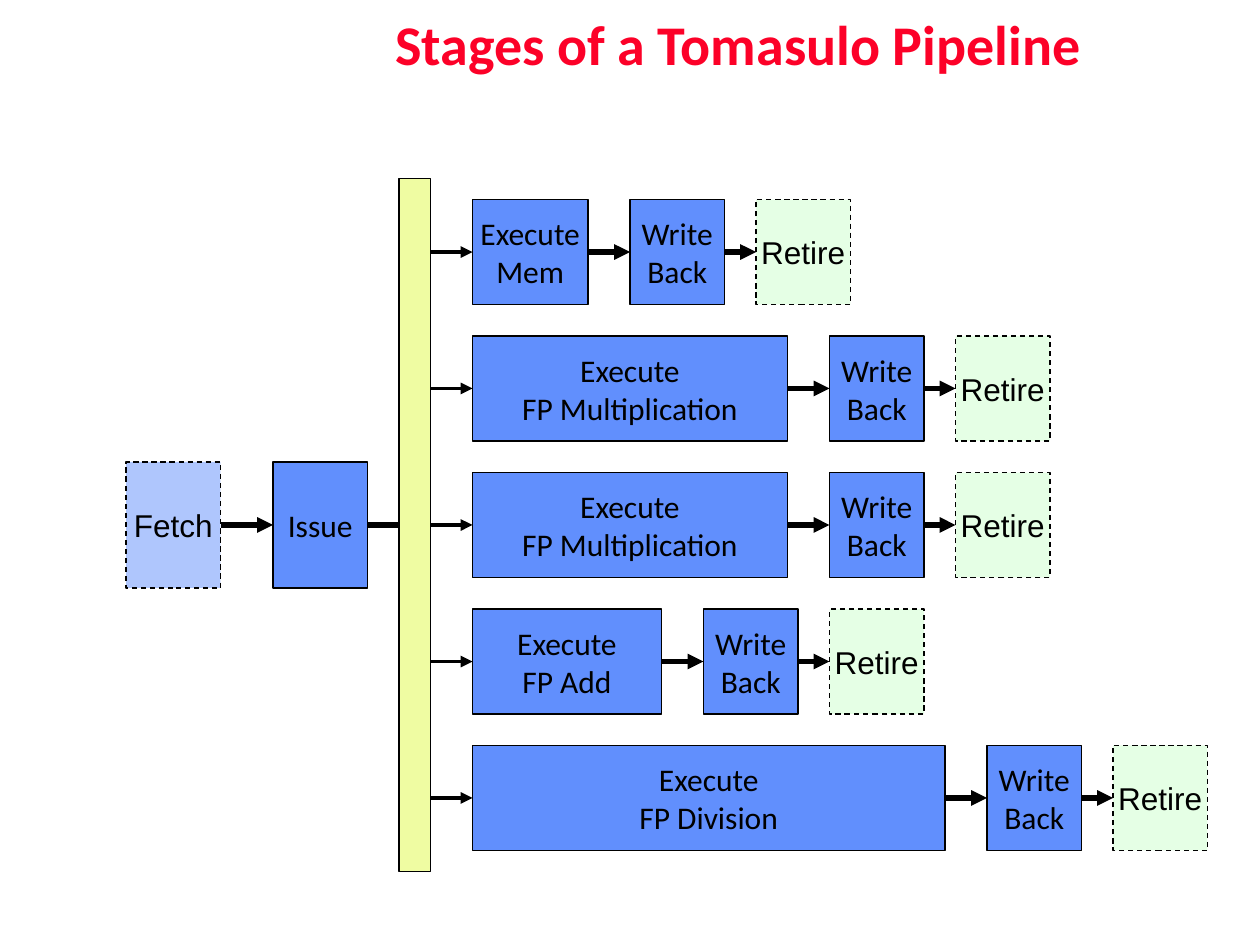
from dataclasses import dataclass

from lxml.etree import SubElement
from pptx import Presentation
from pptx.dml.color import RGBColor
from pptx.enum.dml import MSO_LINE
from pptx.enum.shapes import MSO_CONNECTOR, MSO_SHAPE
from pptx.enum.text import MSO_ANCHOR, PP_ALIGN
from pptx.oxml.ns import qn
from pptx.util import Inches, Pt


@dataclass(frozen=True)
class Theme:
    ink: str = "000000"
    title: str = "FC0128"
    stage: str = "618FFD"
    retire: str = "CCFFCC"
    bus: str = "EFFCA2"
    title_size: float = 32
    label_size: float = 18
    outline: float = 0.75
    bus_arrow: float = 2.25
    stage_arrow: float = 3
    stage_font: str = "Calibri"
    optional_font: str = "Arial"


@dataclass(frozen=True)
class Box:
    """A rectangle in grid columns and rows."""
    left: float
    top: float
    width: float
    height: float

    @property
    def right(self):
        return self.left + self.width

    @property
    def middle(self):
        return self.top + self.height / 2


THEME = Theme()
COLUMNS, ROWS = 120, 90
CELL = Inches(10) / COLUMNS
LEFT, RIGHT = 1, 3
STAGE_WIDTH = 9
EXECUTE_GAP, RETIRE_GAP = 4, 3
LANE_HEIGHT, LANE_STEP = 10, 13
FLOW = Box(12, 17, 103, 66)
LANES = [
    ("Mem", 11),
    ("FP Multiplication", 30),
    ("FP Multiplication", 30),
    ("FP Add", 18),
    ("FP Division", 45),
]


def grid(*cells):
    return [round(cell * CELL) for cell in cells]


def place(box):
    return grid(box.left, box.top, box.width, box.height)


def write(shape, lines, size, font, color, bold=False, spacing=1.0):
    frame = shape.text_frame
    frame.vertical_anchor = MSO_ANCHOR.MIDDLE
    for index, line in enumerate(lines):
        para = frame.paragraphs[0] if index == 0 else frame.add_paragraph()
        para.alignment = PP_ALIGN.CENTER
        para.line_spacing = spacing
        span = para.add_run()
        span.text = line
        span.font.color.rgb = RGBColor.from_string(color)
        formats = {"size": Pt(size), "name": font, "bold": bold}
        for name, value in formats.items():
            setattr(span.font, name, value)
    return frame


def add_block(page, box, fill):
    block = page.shapes.add_shape(MSO_SHAPE.RECTANGLE, *place(box))
    block.shadow.inherit = False
    block.fill.solid()
    block.fill.fore_color.rgb = RGBColor.from_string(fill)
    block.line.color.rgb = RGBColor.from_string(THEME.ink)
    block.line.width = Pt(THEME.outline)
    return block


def add_stage(page, box, lines, fill=THEME.stage, optional=False):
    """Add a labelled stage; an optional one is dashed and half transparent."""
    stage = add_block(page, box, fill)
    if optional:
        stage.line.dash_style = MSO_LINE.DASH
        color = stage.fill._xPr.find(qn("a:solidFill"))[0]
        SubElement(color, qn("a:alpha"), val="50000")
    font = THEME.optional_font if optional else THEME.stage_font
    frame = write(stage, lines, THEME.label_size, font, THEME.ink)
    frame.word_wrap = False
    for side in ("left", "right", "top", "bottom"):
        setattr(frame, f"margin_{side}", Inches(0.05))
    return stage


def add_arrow(page, start, end, width, source=None, target=None):
    """Draw an arrow between grid points, joined to the given stages."""
    arrow = page.shapes.add_connector(MSO_CONNECTOR.STRAIGHT, *grid(*start, *end))
    if source is not None:
        arrow.begin_connect(source, RIGHT)
    if target is not None:
        arrow.end_connect(target, LEFT)
    arrow.line.color.rgb = RGBColor.from_string(THEME.ink)
    arrow.line.width = Pt(width)
    SubElement(arrow.line._get_or_add_ln(), qn("a:tailEnd"), type="triangle")
    SubElement(arrow._element.spPr, qn("a:effectLst"))


def add_title(page, box, text):
    title = page.shapes.add_textbox(*place(box))
    frame = write(title, [text], THEME.title_size, THEME.stage_font,
                  THEME.title, bold=True, spacing=0.9)
    frame.word_wrap = True


def add_chain(page, stages):
    """Add stages from left to right and link each to the next."""
    previous = None
    for box, lines, formats in stages:
        stage = add_stage(page, box, lines, **formats)
        if previous:
            source, source_box = previous
            add_arrow(page, (source_box.right, source_box.middle),
                      (box.left, box.middle), THEME.stage_arrow, source, stage)
        previous = stage, box
    return stage


def add_front_end(page, box, bus_entry):
    fetch = Box(box.left, box.top, STAGE_WIDTH, box.height)
    issue = Box(box.right - STAGE_WIDTH, box.top, STAGE_WIDTH, box.height)
    last = add_chain(page, [
        (fetch, ["Fetch"], {"optional": True}),
        (issue, ["Issue"], {}),
    ])
    add_arrow(page, (issue.right, issue.middle), (bus_entry, issue.middle),
              THEME.stage_arrow, source=last)


def add_lane(page, box, unit, bus_exit):
    """Add one unit's lane; the box spans its execute stage."""
    write_back = Box(box.right + EXECUTE_GAP, box.top, STAGE_WIDTH, box.height)
    retire = Box(write_back.right + RETIRE_GAP, box.top, STAGE_WIDTH, box.height)
    execute = add_stage(page, box, ["Execute", unit])
    add_arrow(page, (bus_exit, box.middle), (box.left, box.middle),
              THEME.bus_arrow, target=execute)
    last = add_stage(page, write_back, ["Write", "Back"])
    add_arrow(page, (box.right, box.middle), (write_back.left, box.middle),
              THEME.stage_arrow, execute, last)
    final = add_stage(page, retire, ["Retire"], THEME.retire, optional=True)
    add_arrow(page, (write_back.right, box.middle), (retire.left, box.middle),
              THEME.stage_arrow, last, final)


def add_pipeline(page, box):
    bus = Box(box.left + 26, box.top, 3, box.height)
    inside_bus = bus.left + 2
    add_front_end(page, Box(box.left, box.middle - 6, 23, 12), inside_bus)
    for row, (unit, width) in enumerate(LANES):
        top = box.top + 2 + row * LANE_STEP
        lane = Box(bus.right + EXECUTE_GAP, top, width, LANE_HEIGHT)
        add_lane(page, lane, unit, inside_bus)
    add_block(page, bus, THEME.bus)


def main():
    deck = Presentation()
    deck.slide_width, deck.slide_height = grid(COLUMNS, ROWS)
    page = deck.slides.add_slide(deck.slide_layouts[6])
    add_pipeline(page, FLOW)
    title_box = Box(0.172 * COLUMNS, 0, 0.828 * COLUMNS, 0.1 * ROWS)
    add_title(page, title_box, "Stages of a Tomasulo Pipeline")
    deck.save("out.pptx")


if __name__ == "__main__":
    main()
